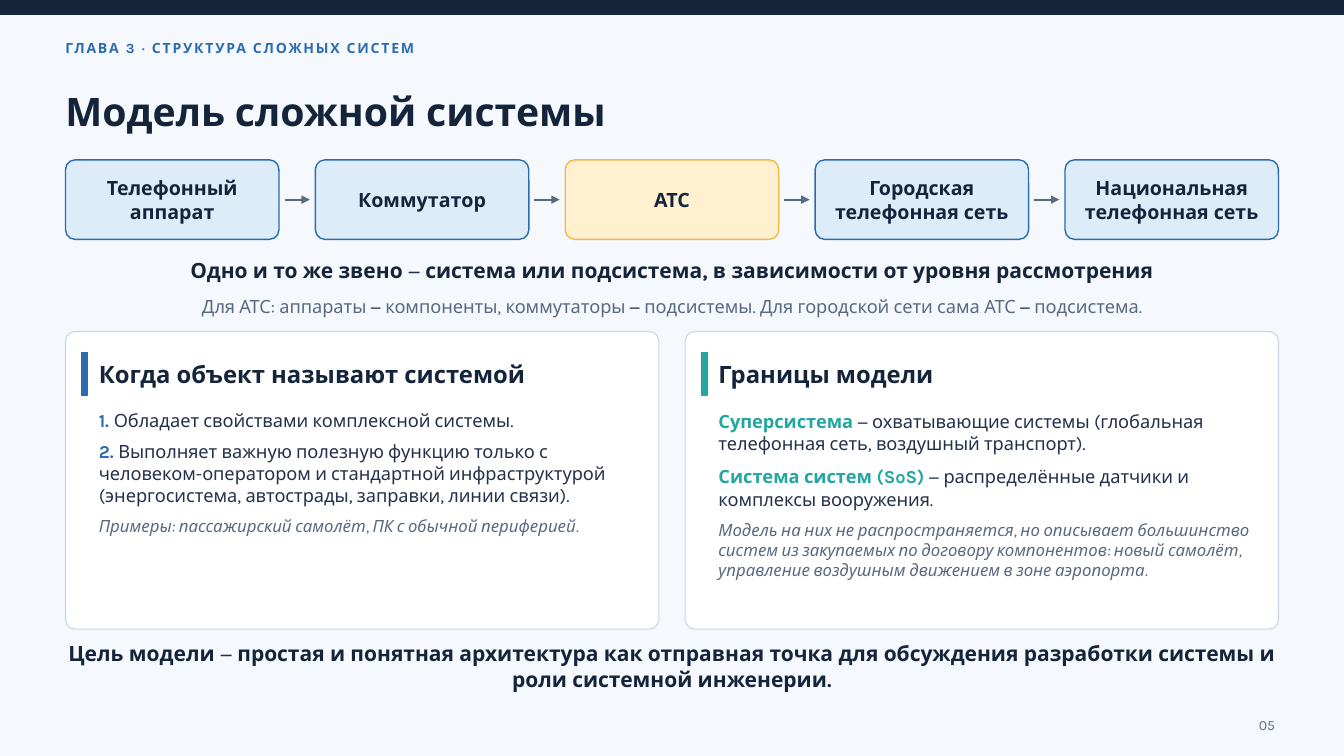
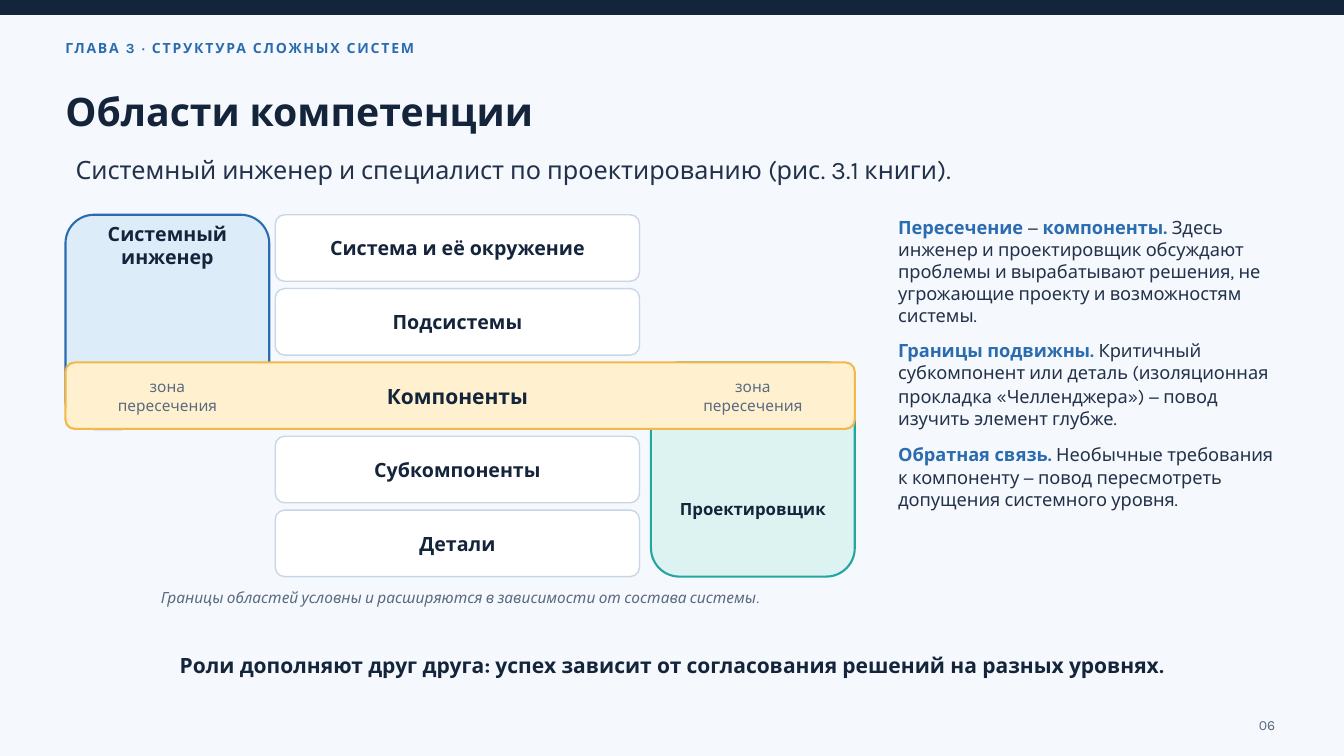
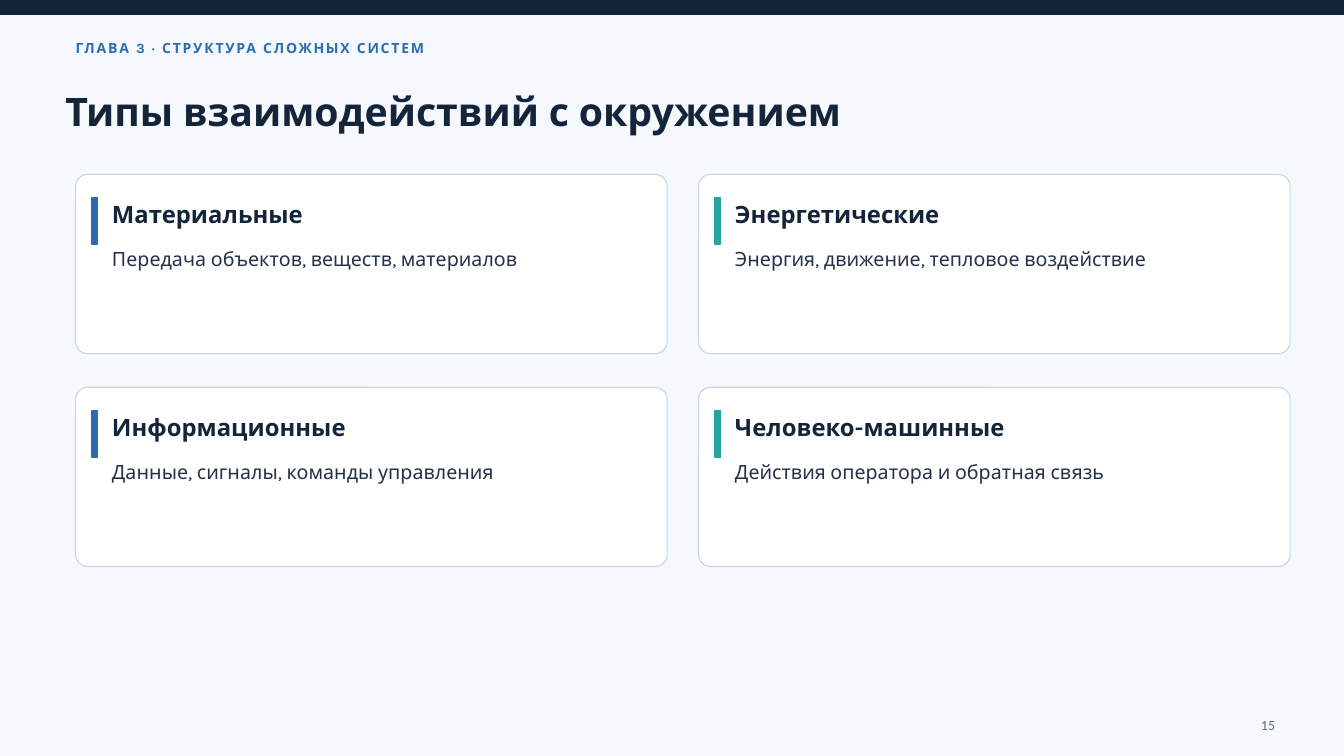
from dataclasses import dataclass, replace
from typing import NamedTuple

from lxml import etree
from pptx import Presentation
from pptx.dml.color import RGBColor
from pptx.enum.shapes import MSO_CONNECTOR, MSO_SHAPE
from pptx.enum.text import MSO_ANCHOR, PP_ALIGN
from pptx.oxml.ns import qn
from pptx.presentation import Presentation as Deck
from pptx.slide import Slide
from pptx.util import Pt


@dataclass(frozen=True)
class Theme:
    paper: str = "F5F8FC"
    white: str = "FFFFFF"
    navy: str = "14243B"
    ink: str = "23324A"
    muted: str = "596A80"
    border: str = "C8D6E5"
    blue: str = "2B6CB0"
    pale_blue: str = "DDECF9"
    teal: str = "23A6A0"
    pale_teal: str = "DDF3F1"
    amber: str = "F2B84B"
    pale_amber: str = "FFF1CF"
    font: str = "Karla"
    number_font: str = "Calibri"
    title: float = 28
    lead: float = 18
    heading: float = 17
    claim: float = 15
    label: float = 14
    body: float = 13
    note: float = 12
    caption: float = 11
    small: float = 10


T = Theme()


@dataclass(frozen=True)
class Style:
    size: float
    color: str
    bold: bool = False
    italic: bool = False
    font: str = T.font
    spacing: float = 0


KICKER = Style(T.small, T.blue, bold=True, spacing=1.3)
TITLE = Style(T.title, T.navy, bold=True)
NUMBER = Style(T.small, T.muted)
LEAD = Style(T.lead, T.ink)
HEADING = Style(T.heading, T.navy, bold=True)
CLAIM = Style(T.claim, T.navy, bold=True)
LABEL = Style(T.label, T.navy, bold=True)
SMALL_LABEL = Style(T.note, T.navy, bold=True)
SUMMARY = Style(T.label, T.ink)
BODY = Style(T.body, T.ink)
BLUE_TERM = Style(T.body, T.blue, bold=True)
TEAL_TERM = Style(T.body, T.teal, bold=True)
ASIDE = Style(T.body, T.muted)
NOTE = Style(T.note, T.muted, italic=True)
CAPTION = Style(T.caption, T.muted, italic=True)
ZONE = Style(T.caption, T.muted)


class Box(NamedTuple):
    left: float
    top: float
    width: float
    height: float

    def inset(self, dx: float) -> "Box":
        return Box(self.left + dx, self.top, self.width - 2 * dx, self.height)


class Run(NamedTuple):
    text: str
    style: Style


class Look(NamedTuple):
    fill: str
    line: str
    weight: float = 1


class Card(NamedTuple):
    accent: str
    title: str
    body: list[list[Run]]


@dataclass(frozen=True)
class CardLayout:
    corner: float
    bar_top: float
    bar_height: float
    text_left: float
    text_width: float
    heading_height: float
    body_top: float
    body_height: float


WIDE_CARD = CardLayout(0.032, 15.2, 30.2, 23.8, 388, 36, 55.4, 149.8)
SHORT_CARD = CardLayout(0.067, 16.5, 33.2, 26, 380, 32.4, 51.8, 67)
BLUE_LOOK = Look(T.pale_blue, T.blue)
TEAL_LOOK = Look(T.pale_teal, T.teal)
AMBER_LOOK = Look(T.pale_amber, T.amber)
CARD_LOOK = Look(T.white, T.border, 0.8)
LEVEL_LOOK = Look(T.white, T.border)

SLIDE_WIDTH, SLIDE_HEIGHT = 960, 540
MARGIN = 46.8
CONTENT = 866.4
CENTER = PP_ALIGN.CENTER


def rgb(value: str) -> RGBColor:
    return RGBColor.from_string(value)


def dashed(text: str, style: Style) -> list[Run]:
    dash = Style(style.size + 1, T.ink)
    first, *rest = text.split("−")
    runs = [Run(first, style)]
    for part in rest:
        runs += [Run("−", dash), Run(part, style)]
    return runs


def add_text(slide: Slide, box: Box, paragraphs: list[list[Run]], align: PP_ALIGN = PP_ALIGN.LEFT,
             anchor: MSO_ANCHOR = MSO_ANCHOR.MIDDLE, gap: float = 0) -> None:
    frame = slide.shapes.add_textbox(*map(Pt, box)).text_frame
    frame.word_wrap = True
    frame.vertical_anchor = anchor
    frame.margin_left = frame.margin_right = frame.margin_top = frame.margin_bottom = 0
    for index, runs in enumerate(paragraphs):
        paragraph = frame.add_paragraph() if index else frame.paragraphs[0]
        paragraph.alignment = align
        if gap and index < len(paragraphs) - 1:
            paragraph.space_after = Pt(gap)
        for text, style in runs:
            run = paragraph.add_run()
            run.text = text
            font = run.font
            font.name, font.size = style.font, Pt(style.size)
            font.bold, font.italic = style.bold, style.italic
            font.color.rgb = rgb(style.color)
            if style.spacing:
                run._r.get_or_add_rPr().set("spc", str(round(style.spacing * 100)))


def add_line(slide: Slide, box: Box, text: str, style: Style, align: PP_ALIGN = PP_ALIGN.LEFT) -> None:
    add_text(slide, box, [[Run(text, style)]], align)


def add_panel(slide: Slide, box: Box, look: Look, corner: float = 0) -> None:
    kind = MSO_SHAPE.ROUNDED_RECTANGLE if corner else MSO_SHAPE.RECTANGLE
    shape = slide.shapes.add_shape(kind, *map(Pt, box))
    if corner:
        shape.adjustments[0] = corner
    shape.shadow.inherit = False
    shape.fill.solid()
    shape.fill.fore_color.rgb = rgb(look.fill)
    shape.line.color.rgb = rgb(look.line)
    shape.line.width = Pt(look.weight)


def add_arrow(slide: Slide, start: float, end: float, y: float) -> None:
    arrow = slide.shapes.add_connector(MSO_CONNECTOR.STRAIGHT, Pt(start), Pt(y), Pt(end), Pt(y))
    arrow.line.color.rgb = rgb(T.muted)
    arrow.line.width = Pt(1.5)
    etree.SubElement(arrow.line._get_or_add_ln(), qn("a:tailEnd")).set("type", "triangle")
    etree.SubElement(arrow._element.spPr, qn("a:effectLst"))


def add_card(slide: Slide, box: Box, card: Card, layout: CardLayout) -> None:
    left, top = box.left + layout.text_left, box.top
    add_panel(slide, box, CARD_LOOK, layout.corner)
    bar = Box(box.left + 11.5, top + layout.bar_top, 4.3, layout.bar_height)
    add_panel(slide, bar, Look(card.accent, card.accent))
    heading = Box(left, top + 12.2, layout.text_width, layout.heading_height)
    add_line(slide, heading, card.title, HEADING)
    body = Box(left, top + layout.body_top, layout.text_width, layout.body_height)
    add_text(slide, body, card.body, anchor=MSO_ANCHOR.TOP, gap=7)


def start_slide(deck: Deck, title: str, number: str, number_font: str = T.font,
                kicker_left: float = MARGIN) -> Slide:
    slide = deck.slides.add_slide(deck.slide_layouts[6])
    add_panel(slide, Box(0, 0, SLIDE_WIDTH, 10), Look(T.navy, T.navy))
    add_line(slide, Box(kicker_left, 25.2, 842, 18), "ГЛАВА 3 · СТРУКТУРА СЛОЖНЫХ СИСТЕМ", KICKER)
    add_line(slide, Box(MARGIN, 56.2, 864, 45.4), title, TITLE)
    add_line(slide, Box(874.8, 510.5, 36, 14.4), number, replace(NUMBER, font=number_font), PP_ALIGN.RIGHT)
    return slide


def add_conclusion(slide: Slide, text: str) -> None:
    add_text(slide, Box(MARGIN, 455.5, CONTENT, 39.6), [dashed(text, CLAIM)], CENTER)


def build_model(deck: Deck) -> None:
    slide = start_slide(deck, "Модель сложной системы", "05")
    links = ["Телефонный аппарат", "Коммутатор", "АТС", "Городская телефонная сеть",
             "Национальная телефонная сеть"]
    gap = 26
    width = (CONTENT - gap * (len(links) - 1)) / len(links)
    for index, name in enumerate(links):
        box = Box(MARGIN + index * (width + gap), 114.2, width, 56.8)
        add_panel(slide, box, AMBER_LOOK if name == "АТС" else BLUE_LOOK, 0.12)
        add_line(slide, box.inset(4.7), name, LABEL, CENTER)
        if index < len(links) - 1:
            edge = box.left + width
            add_arrow(slide, edge + 4, edge + gap - 4, box.top + box.height / 2)

    claim = "Одно и то же звено − система или подсистема, в зависимости от уровня рассмотрения"
    add_text(slide, Box(MARGIN, 177.2, CONTENT, 30.2), [dashed(claim, CLAIM)], CENTER)
    aside = ("Для АТС: аппараты − компоненты, коммутаторы − подсистемы. "
             "Для городской сети сама АТС − подсистема.")
    add_text(slide, Box(MARGIN, 205.4, CONTENT, 25.9), [dashed(aside, ASIDE)], CENTER)

    cards = [
        Card(T.blue, "Когда объект называют системой", [
            [Run("1. ", BLUE_TERM), Run("Обладает свойствами комплексной системы.", BODY)],
            [Run("2. ", BLUE_TERM),
             Run("Выполняет важную полезную функцию только с человеком-оператором и стандартной "
                 "инфраструктурой (энергосистема, автострады, заправки, линии связи).", BODY)],
            [Run("Примеры: пассажирский самолёт, ПК с обычной периферией.", NOTE)],
        ]),
        Card(T.teal, "Границы модели", [
            [Run("Суперсистема ", TEAL_TERM),
             *dashed("− охватывающие системы (глобальная телефонная сеть, воздушный транспорт).", BODY)[1:]],
            [Run("Система систем (SoS) ", TEAL_TERM),
             *dashed("− распределённые датчики и комплексы вооружения.", BODY)[1:]],
            [Run("Модель на них не распространяется, но описывает большинство систем из закупаемых "
                 "по договору компонентов: новый самолёт, управление воздушным движением "
                 "в зоне аэропорта.", NOTE)],
        ]),
    ]
    for index, card in enumerate(cards):
        add_card(slide, Box(MARGIN + index * 442.6, 236.8, 423.8, 212.6), card, WIDE_CARD)
    add_conclusion(slide, "Цель модели − простая и понятная архитектура как отправная точка для "
                          "обсуждения разработки системы и роли системной инженерии.")


def build_competence(deck: Deck) -> None:
    slide = start_slide(deck, "Области компетенции", "06")
    add_line(slide, Box(54, 104.4, 849.6, 33.1),
             "Системный инженер и специалист по проектированию (рис. 3.1 книги).", LEAD)

    corner = 0.14
    levels_top, level_height, pitch = 153.4, 47.5, 52.75
    role_width, role_height = 145.6, 2 * pitch + level_height
    overlap = Box(MARGIN, levels_top + 2 * pitch, 563.8, level_height)
    designer_left = overlap.left + overlap.width - role_width
    engineer = Box(MARGIN, levels_top, role_width, role_height)
    designer = Box(designer_left, overlap.top, role_width, role_height)

    add_panel(slide, engineer, BLUE_LOOK._replace(weight=1.5), corner)
    add_text(slide, Box(engineer.left, engineer.top + 5, role_width, 70.6).inset(4.8),
             [[Run("Системный инженер", LABEL)]], CENTER, MSO_ANCHOR.TOP)
    add_panel(slide, designer, TEAL_LOOK._replace(weight=1.5), corner)
    add_line(slide, Box(designer.left, 319.7, role_width, 87.1).inset(4.8), "Проектировщик", SMALL_LABEL, CENTER)

    levels = ["Система и её окружение", "Подсистемы", "Компоненты", "Субкомпоненты", "Детали"]
    for index, name in enumerate(levels):
        box = Box(196.6, levels_top + index * pitch, 260.2, level_height)
        shared = name == "Компоненты"
        if shared:
            add_panel(slide, overlap, AMBER_LOOK._replace(weight=1.5), corner)
        else:
            add_panel(slide, box, LEVEL_LOOK, corner)
        add_line(slide, box, name, CLAIM if shared else LABEL, CENTER)
    for left in (engineer.left, designer.left):
        add_text(slide, Box(left, overlap.top, role_width, level_height).inset(6.2),
                 [[Run("зона", ZONE)], [Run("пересечения", ZONE)]], CENTER)
    add_line(slide, Box(MARGIN, 417, overlap.width, 19.4),
             "Границы областей условны и расширяются в зависимости от состава системы.", CAPTION, CENTER)

    remarks = [
        ("Пересечение − компоненты. ",
         "Здесь инженер и проектировщик обсуждают проблемы и вырабатывают решения, "
         "не угрожающие проекту и возможностям системы."),
        ("Границы подвижны. ",
         "Критичный субкомпонент или деталь (изоляционная прокладка «Челленджера») − "
         "повод изучить элемент глубже."),
        ("Обратная связь. ",
         "Необычные требования к компоненту − повод пересмотреть допущения системного уровня."),
    ]
    add_text(slide, Box(641.6, levels_top, 271.5, 271.5),
             [dashed(term, BLUE_TERM) + dashed(text, BODY) for term, text in remarks],
             anchor=MSO_ANCHOR.TOP, gap=10)
    add_conclusion(slide, "Роли дополняют друг друга: успех зависит от согласования решений на разных уровнях.")


def build_interactions(deck: Deck) -> None:
    slide = start_slide(deck, "Типы взаимодействий с окружением", "15", T.number_font, 54)
    kinds = [
        ("Материальные", "Передача объектов, веществ, материалов"),
        ("Энергетические", "Энергия, движение, тепловое воздействие"),
        ("Информационные", "Данные, сигналы, команды управления"),
        ("Человеко-машинные", "Действия оператора и обратная связь"),
    ]
    for index, (name, summary) in enumerate(kinds):
        row, column = divmod(index, 2)
        box = Box(54 + column * 445, 124.6 + row * 152.1, 422.6, 128)
        card = Card((T.blue, T.teal)[column], name, [[Run(summary, SUMMARY)]])
        add_card(slide, box, card, SHORT_CARD)


def main() -> None:
    deck = Presentation()
    deck.slide_width, deck.slide_height = Pt(SLIDE_WIDTH), Pt(SLIDE_HEIGHT)
    backdrop = deck.slide_master.background.fill
    backdrop.solid()
    backdrop.fore_color.rgb = rgb(T.paper)
    build_model(deck)
    build_competence(deck)
    build_interactions(deck)
    deck.save("out.pptx")


main()
